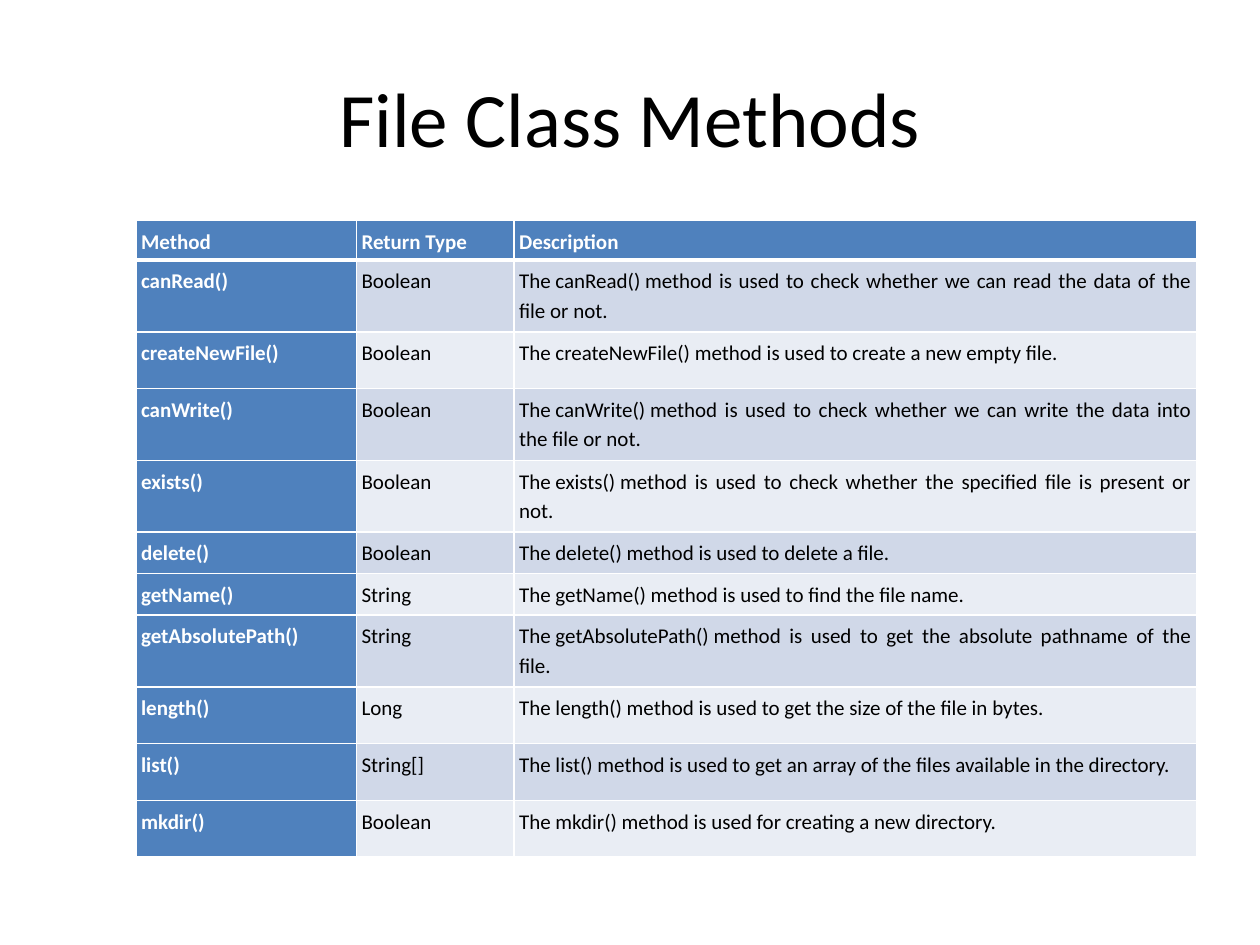
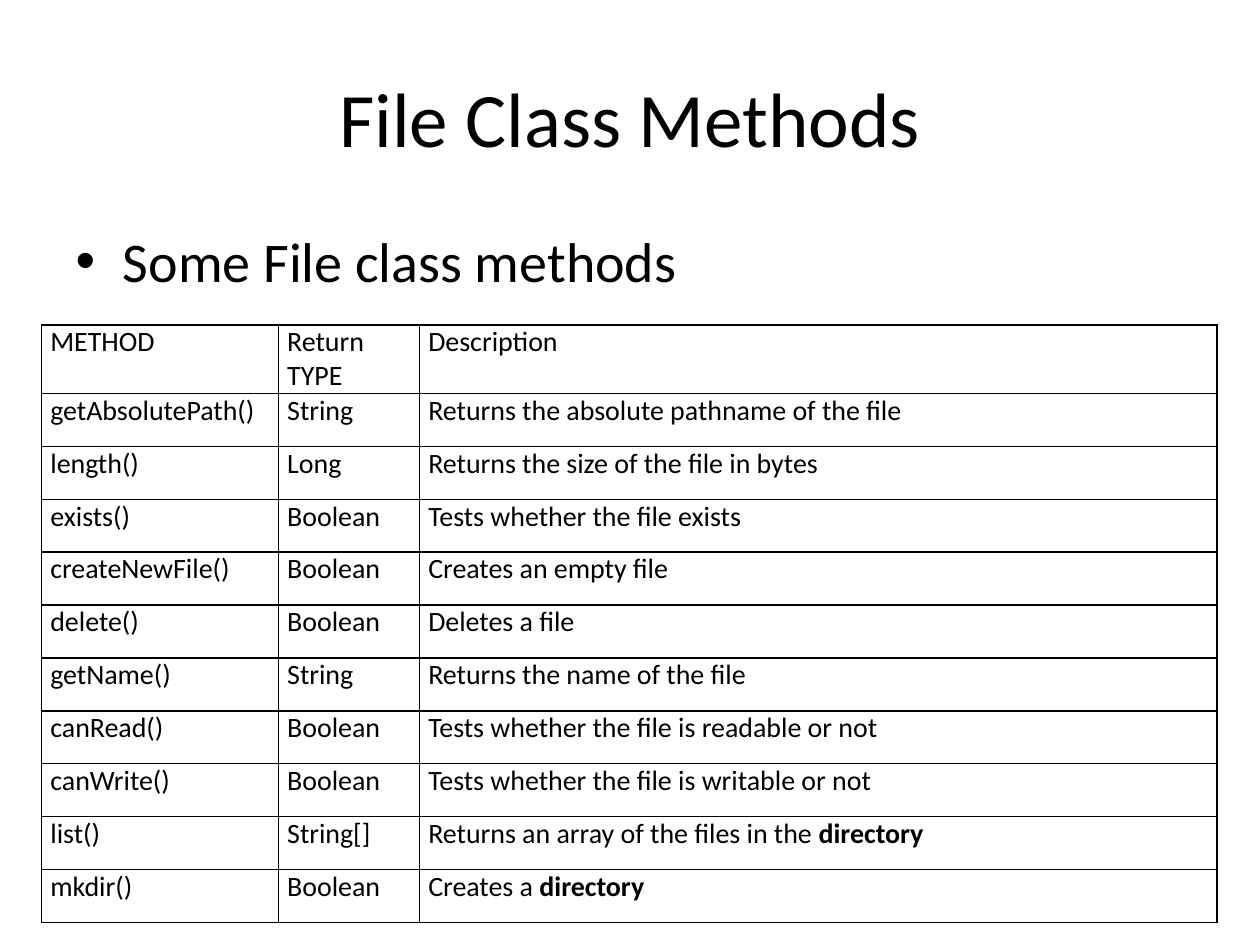
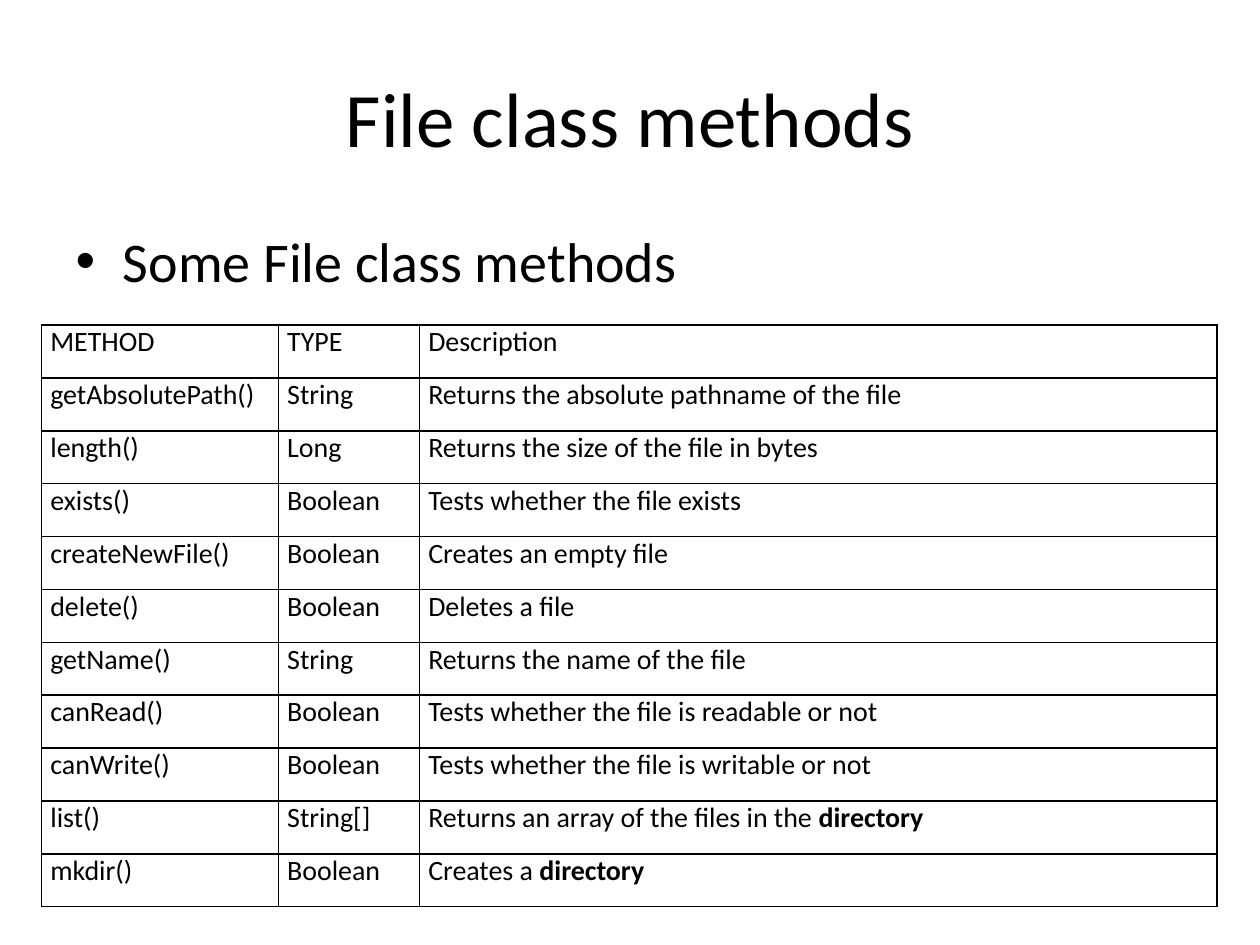
from dataclasses import dataclass
from typing import NamedTuple

from lxml import etree
from pptx import Presentation
from pptx.dml import color
from pptx.enum import text
from pptx.oxml import ns
from pptx.util import Inches, Pt


@dataclass(frozen=True)
class Theme:
    font: str = "Calibri"
    title_size: int = 44
    body_size: int = 32
    black: str = "000000"
    white: str = "FFFFFF"
    blue: str = "4F81BD"
    bands: tuple[str, str] = ("D0D8E8", "E9EDF4")
    thin_line: float = 1
    thick_line: float = 3


class Box(NamedTuple):
    left: float
    top: float
    width: float
    height: float


class Method(NamedTuple):
    name: str
    return_type: str
    description: str


@dataclass(frozen=True)
class TableStyle:
    left: float
    top: float
    columns: tuple[float, ...]
    margin_x: float
    margin_y: float
    size: int
    line_color: str
    banded: bool = False
    alignment: text.PP_ALIGN = text.PP_ALIGN.LEFT
    line_spacing: float = 1.0


THEME = Theme()
TITLE_BOX = Box(0.5, 0.3, 9, 1.25)
BODY_BOX = Box(0.5, 1.75, 9, 4.95)
TITLE_AND_CONTENT, TITLE_ONLY = 1, 5
NBSP = chr(160)

BANDED = TableStyle(1.08, 1.75, (1.75, 1.25, 5.42), 0.04, 0.04, 12, THEME.white,
                    True, text.PP_ALIGN.JUSTIFY, 1.15)
RULED = TableStyle(0.33, 2.58, (1.88, 1.12, 6.33), 0.07, 0, 16, THEME.black)

# Each purpose completes the sentence "The <name> method is used ..."
PURPOSES = [
    Method("canRead()", "Boolean", "to check whether we can read the data of the file or not."),
    Method("createNewFile()", "Boolean", "to create a new empty file."),
    Method("canWrite()", "Boolean", "to check whether we can write the data into the file or not."),
    Method("exists()", "Boolean", "to check whether the specified file is present or not."),
    Method("delete()", "Boolean", "to delete a file."),
    Method("getName()", "String", "to find the file name."),
    Method("getAbsolutePath()", "String", "to get the absolute pathname of the file."),
    Method("length()", "Long", "to get the size of the file in bytes."),
    Method("list()", "String[]", "to get an array of the files available in the directory."),
    Method("mkdir()", "Boolean", "for creating a new directory."),
]
PURPOSE_HEIGHTS = [0.24, 0.57, 0.45, 0.57, 0.57, 0.33, 0.33, 0.57, 0.45, 0.45, 0.45]

# Double asterisks enclose bold words
SUMMARIES = [
    Method("getAbsolutePath()", "String", "Returns the absolute pathname of the file"),
    Method("length()", "Long", "Returns the size of the file in bytes"),
    Method("exists()", "Boolean", "Tests whether the file exists"),
    Method("createNewFile()", "Boolean", "Creates an empty file"),
    Method("delete()", "Boolean", "Deletes a file"),
    Method("getName()", "String", "Returns the name of the file"),
    Method("canRead()", "Boolean", "Tests whether the file is readable or not"),
    Method("canWrite()", "Boolean", "Tests whether the file is writable or not"),
    Method("list()", "String[]", "Returns an array of the files in the **directory**"),
    Method("mkdir()", "Boolean", "Creates a **directory**"),
]
SUMMARY_HEIGHT = 0.42


def format_font(paragraph, size: int, rgb: str, bold: bool = False) -> None:
    font = paragraph.font
    font.name, font.size, font.bold = THEME.font, Pt(size), bold
    font.color.rgb = color.RGBColor.from_string(rgb)


def fill_placeholder(shape, box: Box, content: str, size: int) -> None:
    shape.left, shape.top, shape.width, shape.height = map(Inches, box)
    shape.text_frame.text = content
    format_font(shape.text_frame.paragraphs[0], size, THEME.black)


def add_titled_slide(presentation, title: str, bullet: str = ""):
    layout = TITLE_AND_CONTENT if bullet else TITLE_ONLY
    slide = presentation.slides.add_slide(presentation.slide_layouts[layout])
    fill_placeholder(slide.shapes.title, TITLE_BOX, title, THEME.title_size)
    slide.shapes.title.text_frame.vertical_anchor = text.MSO_ANCHOR.MIDDLE
    slide.shapes.title.text_frame.paragraphs[0].alignment = text.PP_ALIGN.CENTER
    if bullet:
        fill_placeholder(slide.placeholders[1], BODY_BOX, bullet, THEME.body_size)
    return slide


def set_borders(cell, rgb: str, widths: dict[str, float]) -> None:
    properties = cell._tc.get_or_add_tcPr()
    for side, width in widths.items():
        line = etree.SubElement(properties, ns.qn(f"a:ln{side}"), w=str(Pt(width)))
        fill = etree.SubElement(line, ns.qn("a:solidFill"))
        etree.SubElement(fill, ns.qn("a:srgbClr"), val=rgb)


def write_cell(cell, content: str, style: TableStyle, row: int, column: int) -> None:
    cell.margin_left = cell.margin_right = Inches(style.margin_x)
    cell.margin_top = cell.margin_bottom = Inches(style.margin_y)

    # The edge below a banded heading is thicker on both sides
    widths = dict.fromkeys("LRTB", THEME.thin_line)
    if style.banded and row < 2:
        widths["B" if row == 0 else "T"] = THEME.thick_line
    set_borders(cell, style.line_color, widths)

    heading = style.banded and (row == 0 or column == 0)
    if style.banded:
        cell.fill.solid()
        rgb = THEME.blue if heading else THEME.bands[(row - 1) % 2]
        cell.fill.fore_color.rgb = color.RGBColor.from_string(rgb)
    else:
        cell.fill.background()

    paragraph = cell.text_frame.paragraphs[0]
    paragraph.alignment = style.alignment
    paragraph.line_spacing = style.line_spacing
    format_font(paragraph, style.size, THEME.white if heading else THEME.black, heading)
    for index, part in enumerate(content.split("**")):
        if part:
            run = paragraph.add_run()
            run.text = part
            if index % 2:
                run.font.bold = True


def add_method_table(slide, style: TableStyle, rows: list[Method], heights: list[float]) -> None:
    table = slide.shapes.add_table(
        len(rows), len(style.columns), Inches(style.left), Inches(style.top),
        Inches(sum(style.columns)), Inches(sum(heights))).table
    table.first_row = table.horz_banding = False
    for column, width in zip(table.columns, style.columns):
        column.width = Inches(width)
    for row_index, (method, height) in enumerate(zip(rows, heights)):
        table.rows[row_index].height = Inches(height)
        for column_index, content in enumerate(method):
            write_cell(table.cell(row_index, column_index), content, style,
                       row_index, column_index)


def main() -> None:
    presentation = Presentation()
    presentation.slide_width, presentation.slide_height = Inches(10), Inches(7.5)

    # Methods with full descriptions
    slide = add_titled_slide(presentation, "File Class Methods")
    described = [
        method._replace(description=f"The{NBSP}{method.name}{NBSP}method is used {method.description}")
        for method in PURPOSES
    ]
    heading = Method("Method", "Return Type", "Description")
    add_method_table(slide, BANDED, [heading, *described], PURPOSE_HEIGHTS)

    # Method summaries
    for title, type_heading in (("Class Methods", "Return TYPE"), ("class methods", "TYPE")):
        slide = add_titled_slide(presentation, f"File{NBSP}{title}",
                                 f"Some File{NBSP}class methods")
        rows = [Method("METHOD", type_heading, "Description"), *SUMMARIES]
        add_method_table(slide, RULED, rows, [SUMMARY_HEIGHT] * len(rows))

    presentation.save("out.pptx")


if __name__ == "__main__":
    main()
